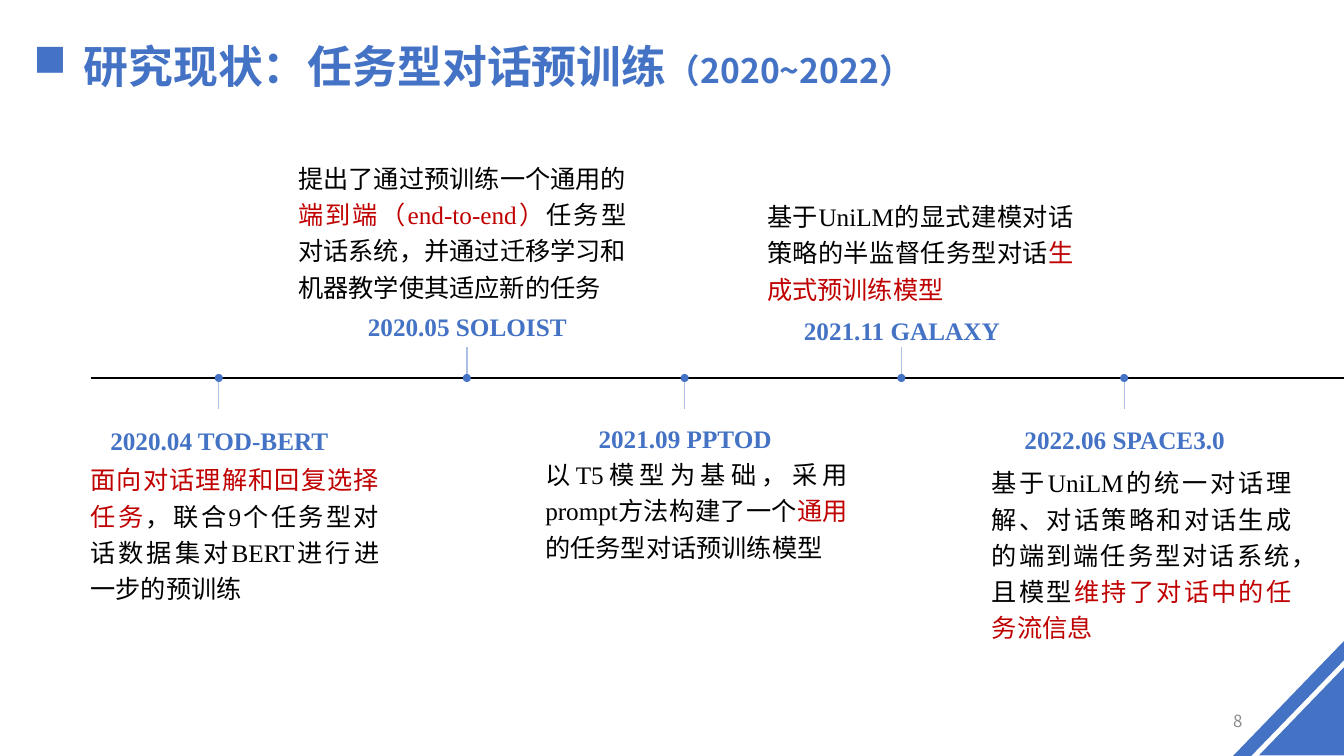
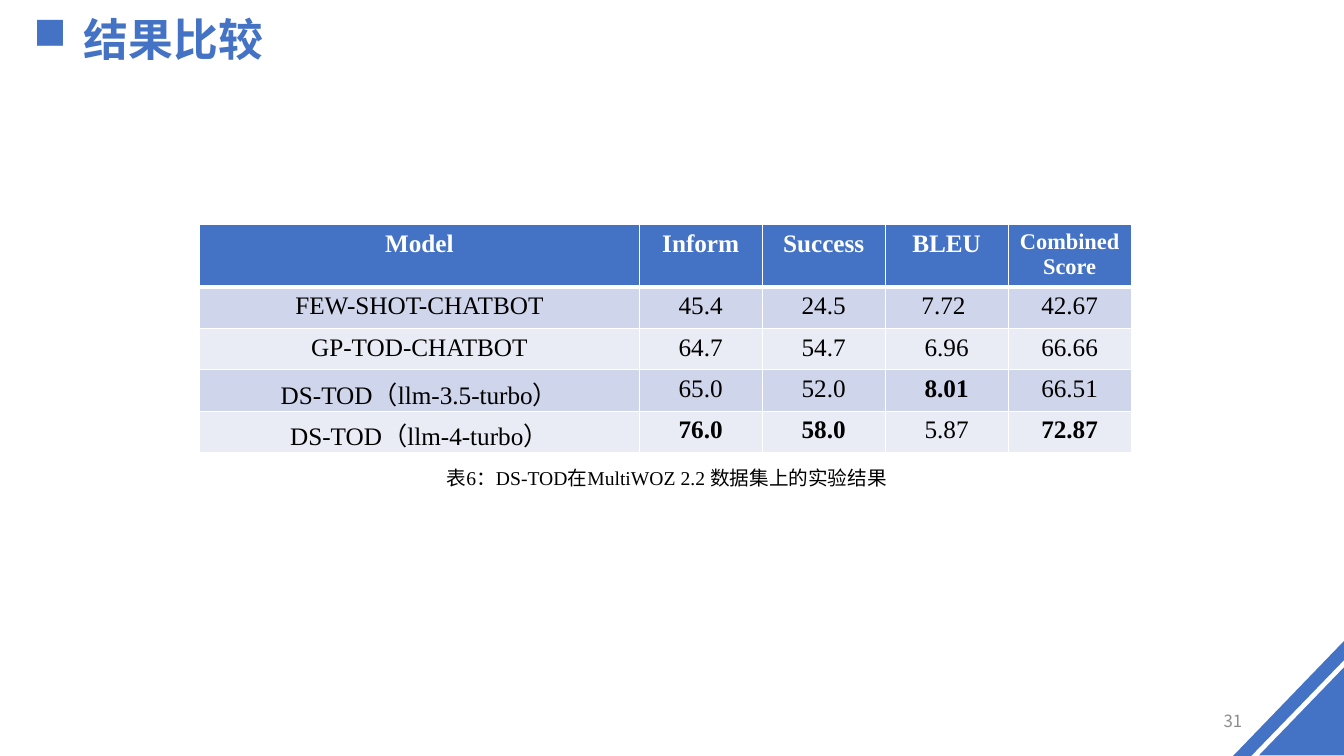
from lxml import etree
from pptx import Presentation
from pptx.dml.color import RGBColor
from pptx.enum.shapes import MSO_CONNECTOR, MSO_SHAPE
from pptx.enum.text import MSO_ANCHOR, MSO_AUTO_SIZE, PP_ALIGN
from pptx.oxml.ns import qn
from pptx.util import Pt

PX = 9144  # EMU in one px, 100 px to the inch
WIDTH, HEIGHT = 1333, 750
TITLE_ONLY = 5

SANS, SERIF = "Noto Sans CJK SC", "Times New Roman"
BLUE, PALE_BLUE, RED = "4472C4", "ABC0E4", "C00000"
BLACK, WHITE, GREY = "000000", "FFFFFF", "8C8C8C"
BAND_FILLS = ["CFD5EA", "E9EBF5"]

LEFT, CENTER, RIGHT, JUSTIFY = (
    PP_ALIGN.LEFT, PP_ALIGN.CENTER, PP_ALIGN.RIGHT, PP_ALIGN.JUSTIFY)
TOP, MIDDLE = MSO_ANCHOR.TOP, MSO_ANCHOR.MIDDLE
ELLIPSE, TRIANGLE = MSO_SHAPE.OVAL, MSO_SHAPE.RIGHT_TRIANGLE
STRAIGHT = MSO_CONNECTOR.STRAIGHT
NO_AUTOFIT = MSO_AUTO_SIZE.NONE

AXIS_Y, STEM, DOT, LABEL_W = 375, 31, 8, 255

# centre x, stem direction (1 down, -1 up), label top, label, body box, body runs
EVENTS = [
    (217, 1, 411, "2020.04 TOD-BERT", (80, 450, 306, 152),
     [("面向对话理解和回复选择任务", RED),
      ("，联合9个任务型对话数据集对BERT进行进一步的预训练", BLACK)]),
    (463, -1, 298, "2020.05 SOLOIST", (286, 151, 345, 152),
     [("提出了通过预训练一个通用的", BLACK),
      ("端到端（end-to-end）", RED),
      ("任务型对话系统，并通过迁移学习和机器教学使其适应新的任务", BLACK)]),
    (679, 1, 409, "2021.09 PPTOD", (531, 445, 320, 116),
     [("以T5模型为基础，采用prompt方法构建了一个", BLACK),
      ("通用", RED),
      ("的任务型对话预训练模型", BLACK)]),
    (894, -1, 302, "2021.11 GALAXY", (751, 189, 324, 116),
     [("基于UniLM的显式建模对话策略的半监督任务型对话", BLACK),
      ("生成式预训练模型", RED)]),
    (1115, 1, 410, "2022.06 SPACE3.0", (974, 453, 317, 188),
     [("基于UniLM的统一对话理解、对话策略和对话生成的端到端任务型对话系统，且模型", BLACK),
      ("维持了对话中的任务流信息", RED)]),
]

RESULTS = [
    ["Model", "Inform", "Success", "BLEU", "Combined Score"],
    ["FEW-SHOT-CHATBOT", "45.4", "24.5", "7.72 ", "42.67"],
    ["GP-TOD-CHATBOT", "64.7", "54.7", "6.96", "66.66"],
    ["DS-TOD（llm-3.5-turbo）", "65.0", "52.0", "8.01", "66.51"],
    ["DS-TOD（llm-4-turbo）", "76.0", "58.0", "5.87", "72.87"],
]
BEST = {"8.01", "76.0", "58.0", "72.87"}
COL_WIDTHS = [436, 122, 122, 122, 122]
ROW_HEIGHTS = [62, 41, 41, 41, 41]


def emu(*lengths):
    return [length * PX for length in lengths]


def rgb(color):
    return RGBColor.from_string(color)


def style_run(r, size, color, bold=False, font=SERIF):
    r.font.size = Pt(size)
    r.font.bold = bold
    r.font.color.rgb = rgb(color)
    r.font.name = font
    ea = etree.SubElement(r.font._element, qn("a:ea"))
    ea.set("typeface", SANS)


def add_text(slide, box, runs, size, align, bold=False, font=SERIF,
             spacing=1.2, anchor=TOP):
    """Add a one-paragraph text box from (text, colour) runs."""
    tf = slide.shapes.add_textbox(*emu(*box)).text_frame
    tf.word_wrap = True
    tf.vertical_anchor = anchor
    p = tf.paragraphs[0]
    p.alignment = align
    p.line_spacing = spacing
    for text, color in runs:
        r = p.add_run()
        r.text = text
        style_run(r, size, color, bold, font)


def fill_plain(sp, color):
    sp.shadow.inherit = False
    sp.fill.solid()
    sp.fill.fore_color.rgb = rgb(color)
    sp.line.fill.background()


def add_line(slide, start, end, color, width):
    line = slide.shapes.add_connector(STRAIGHT, *emu(*start, *end))
    line.line.color.rgb = rgb(color)
    line.line.width = Pt(width)
    etree.SubElement(line._element.spPr, qn("a:effectLst"))


def set_title(slide, box, runs, spacing):
    """Fill the title placeholder with (text, size) runs after a square bullet."""
    sp = slide.shapes.title
    sp.left, sp.top, sp.width, sp.height = emu(*box)
    tf = sp.text_frame
    tf.word_wrap = True
    tf.auto_size = NO_AUTOFIT
    tf.vertical_anchor = TOP
    p = tf.paragraphs[0]
    p.alignment = LEFT
    p.line_spacing = spacing
    for text, size in runs:
        r = p.add_run()
        r.text = text
        style_run(r, size, BLUE, True, SANS)
    pPr = p._p.get_or_add_pPr()
    pPr.set("marL", str(50 * PX))
    pPr.set("indent", str(-50 * PX))
    etree.SubElement(pPr, qn("a:buFont")).set("typeface", "Wingdings")
    etree.SubElement(pPr, qn("a:buChar")).set("char", "n")


def add_corner(slide):
    sp = slide.shapes.add_shape(TRIANGLE, *emu(1247, 663, 88, 85))
    sp.rotation = 270
    fill_plain(sp, BLUE)
    builder = slide.shapes.build_freeform(*emu(1223, HEIGHT))
    builder.add_line_segments(
        [emu(WIDTH, 636), emu(WIDTH, 655), emu(1241, HEIGHT)])
    fill_plain(builder.convert_to_shape(), BLUE)


def new_slide(prs, number, title_box, title_runs, title_spacing):
    slide = prs.slides.add_slide(prs.slide_layouts[TITLE_ONLY])
    set_title(slide, title_box, title_runs, title_spacing)
    add_corner(slide)
    add_text(slide, (942, 695, 300, 40), [(number, GREY)], 12, RIGHT,
             font=SANS, spacing=1.0, anchor=MIDDLE)
    return slide


def add_event(slide, x, direction, label_top, label, body_box, body_runs):
    add_line(slide, (x, AXIS_Y), (x, AXIS_Y + direction * STEM), PALE_BLUE, 1)
    dot = slide.shapes.add_shape(
        ELLIPSE, *emu(x - DOT // 2, AXIS_Y - DOT // 2, DOT, DOT))
    fill_plain(dot, BLUE)
    add_text(slide, (x - LABEL_W // 2, label_top, LABEL_W, 43),
             [(label, BLUE)], 18, CENTER, bold=True)
    add_text(slide, body_box, body_runs, 18, JUSTIFY)


def set_borders(cell, top, bottom):
    """Draw white cell borders; top and bottom are widths in points."""
    tcPr = cell._tc.get_or_add_tcPr()
    for side, width in (("L", 1), ("R", 1), ("T", top), ("B", bottom)):
        ln = etree.SubElement(tcPr, qn(f"a:ln{side}"), w=str(Pt(width)))
        fill = etree.SubElement(ln, qn("a:solidFill"))
        etree.SubElement(fill, qn("a:srgbClr"), val=WHITE)


def format_cell(cell, text, row, col):
    header = row == 0
    set_borders(cell, 3 if row == 1 else 1, 3 if header else 1)
    cell.fill.solid()
    cell.fill.fore_color.rgb = rgb(BLUE if header else BAND_FILLS[(row - 1) % 2])
    cell.margin_bottom = 0
    cell.text_frame.text = text
    p = cell.text_frame.paragraphs[0]
    p.alignment = CENTER
    size = 16 if header and col == len(COL_WIDTHS) - 1 else 18
    style_run(p.runs[0], size, WHITE if header else BLACK,
              header or text in BEST)


def add_results_table(slide, left, top):
    table = slide.shapes.add_table(
        len(ROW_HEIGHTS), len(COL_WIDTHS),
        *emu(left, top, sum(COL_WIDTHS), sum(ROW_HEIGHTS))).table
    for column, width in zip(table.columns, COL_WIDTHS):
        column.width = width * PX
    for table_row, height in zip(table.rows, ROW_HEIGHTS):
        table_row.height = height * PX
    for row, texts in enumerate(RESULTS):
        for col, text in enumerate(texts):
            format_cell(table.cell(row, col), text, row, col)


def add_timeline_slide(prs):
    slide = new_slide(prs, "8", (23, 7, 1143, 81),
                      [("研究现状：任务型对话预训练", 32), ("（2020~2022）", 24)], 1.5)
    add_line(slide, (90, AXIS_Y), (WIDTH, AXIS_Y), BLACK, 0.75)
    for event in EVENTS:
        add_event(slide, *event)


def add_results_slide(prs):
    slide = new_slide(prs, "31", (23, 7, 1055, 64), [("结果比较", 32)], 1.0)
    add_results_table(slide, 198, 223)
    add_text(slide, (399, 453, 525, 36),
             [("表6：DS-TOD在MultiWOZ 2.2 数据集上的实验结果", BLACK)], 14, CENTER)


def main():
    prs = Presentation()
    prs.slide_width, prs.slide_height = emu(WIDTH, HEIGHT)
    add_timeline_slide(prs)
    add_results_slide(prs)
    prs.save("out.pptx")


if __name__ == "__main__":
    main()
